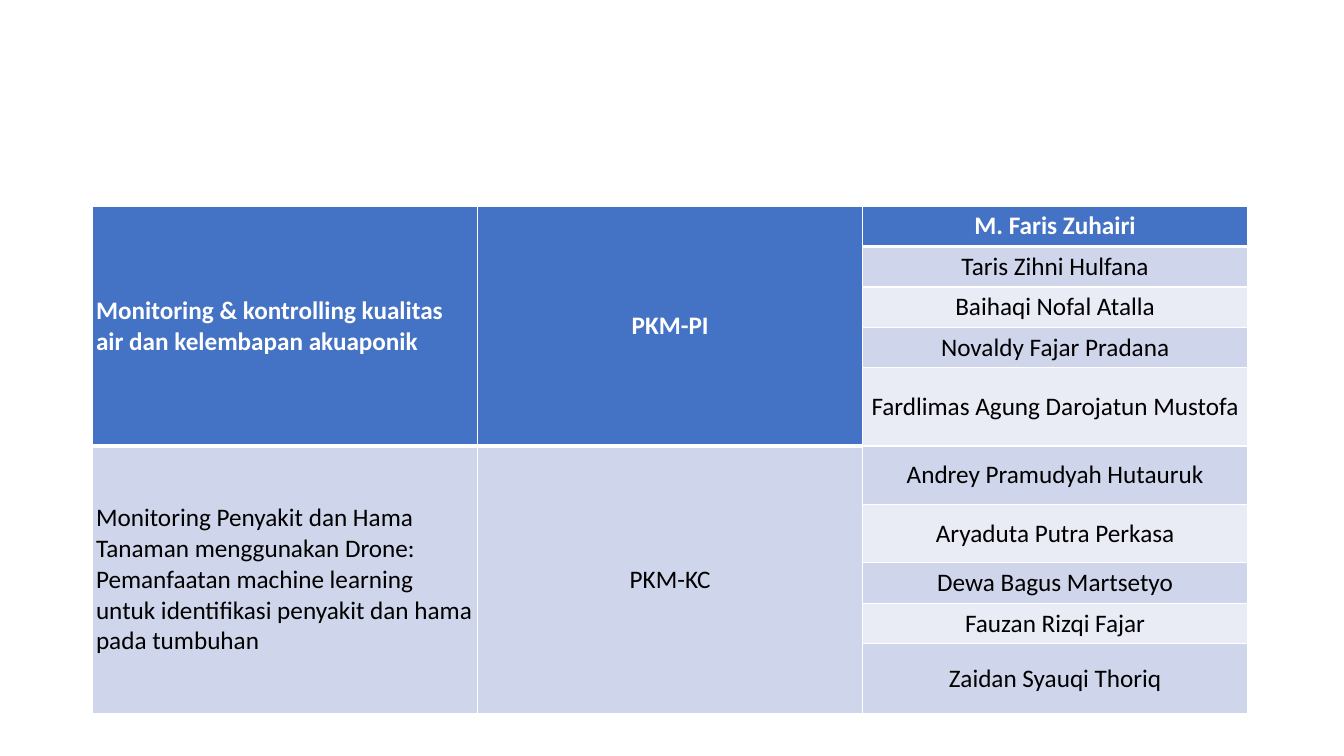
from lxml import etree
from pptx import Presentation
from pptx.dml.color import RGBColor
from pptx.enum.text import MSO_ANCHOR, PP_ALIGN
from pptx.oxml.ns import qn
from pptx.util import Cm, Pt

LEFT, CENTER = PP_ALIGN.LEFT, PP_ALIGN.CENTER
MIDDLE = MSO_ANCHOR.MIDDLE
WHITE, BLACK, BLUE = "FFFFFF", "000000", "4472C4"
BANDS = ["E9EBF5", "CFD5EA"]
HEIGHTS = [1.02, 1.02, 1.02, 1.02, 1.97, 1.47, 1.47, 1.02, 1.02, 1.76]
TEAMS = [
    ("Monitoring & kontrolling kualitas air dan kelembapan akuaponik", "PKM-PI",
     ["M. Faris Zuhairi", "Taris Zihni Hulfana", "Baihaqi Nofal Atalla",
      "Novaldy Fajar Pradana", "Fardlimas Agung Darojatun Mustofa"]),
    ("Monitoring Penyakit dan Hama Tanaman menggunakan Drone: Pemanfaatan "
     "machine learning untuk identifikasi penyakit dan hama pada tumbuhan", "PKM-KC",
     ["Andrey Pramudyah Hutauruk", "Aryaduta Putra Perkasa", "Dewa Bagus Martsetyo",
      "Fauzan Rizqi Fajar", "Zaidan Syauqi Thoriq"]),
]
CELL = {"vertical_anchor": MIDDLE, "margin_left": Cm(0.08), "margin_right": Cm(0.08),
        "margin_top": Cm(0.05), "margin_bottom": Cm(0.05)}


def color(code):
    return RGBColor.from_string(code)


def apply(item, values):
    for name, value in values.items():
        setattr(item, name, value)


def border(cell, top, bottom):
    """Rule all four sides in white; top and bottom widths are in points."""
    props = cell._tc.get_or_add_tcPr()
    for side, width in {"L": 1, "R": 1, "T": top, "B": bottom}.items():
        line = etree.SubElement(props, qn("a:ln" + side), w=str(Pt(width)))
        fill = etree.SubElement(line, qn("a:solidFill"))
        etree.SubElement(fill, qn("a:srgbClr"), val=WHITE)


def style(cell, row, head, under):
    """Format a cell; head marks the header, under a cell just below it."""
    apply(cell, CELL)
    border(cell, 3 if under else 1, 3 if head else 1)
    cell.fill.solid()
    cell.fill.fore_color.rgb = color(BLUE if head else BANDS[row % 2])


def write(cell, text, align, head):
    para = cell.text_frame.paragraphs[0]
    para.alignment = align
    run = para.add_run()
    run.text = text
    apply(run.font, {"name": "Calibri", "size": Pt(18), "bold": head})
    run.font.color.rgb = color(WHITE if head else BLACK)


def teams(slide, left, top, width):
    """Place the table of teams, with topic and scheme merged over the members."""
    size = len(TEAMS[0][2])
    frame = slide.shapes.add_table(len(HEIGHTS), 3, Cm(left), Cm(top),
                                   Cm(width), Cm(sum(HEIGHTS)))
    table = frame.table
    for row, height in zip(table.rows, HEIGHTS):
        row.height = Cm(height)
    for col in table.columns:
        col.width = Cm(width / 3)

    for index, (topic, scheme, names) in enumerate(TEAMS):
        start = index * size
        for col, (text, align) in enumerate([(topic, LEFT), (scheme, CENTER)]):
            cell = table.cell(start, col)
            cell.merge(table.cell(start + size - 1, col))
            write(cell, text, align, index == 0)
            for row in range(start, start + size):
                # Merged rows share the band of the row they start in.
                style(table.cell(row, col), 1, index == 0, row == size)
        for row, name in enumerate(names, start):
            cell = table.cell(row, 2)
            style(cell, row % size + index if row < size else row, row == 0, row == 1)
            write(cell, name, CENTER, row == 0)


def main():
    deck = Presentation()
    apply(deck, {"slide_width": Cm(33.87), "slide_height": Cm(19.05)})
    slide = deck.slides.add_slide(deck.slide_layouts[6])
    teams(slide, 2.34, 5.19, 29.1)
    deck.save("out.pptx")


if __name__ == "__main__":
    main()
